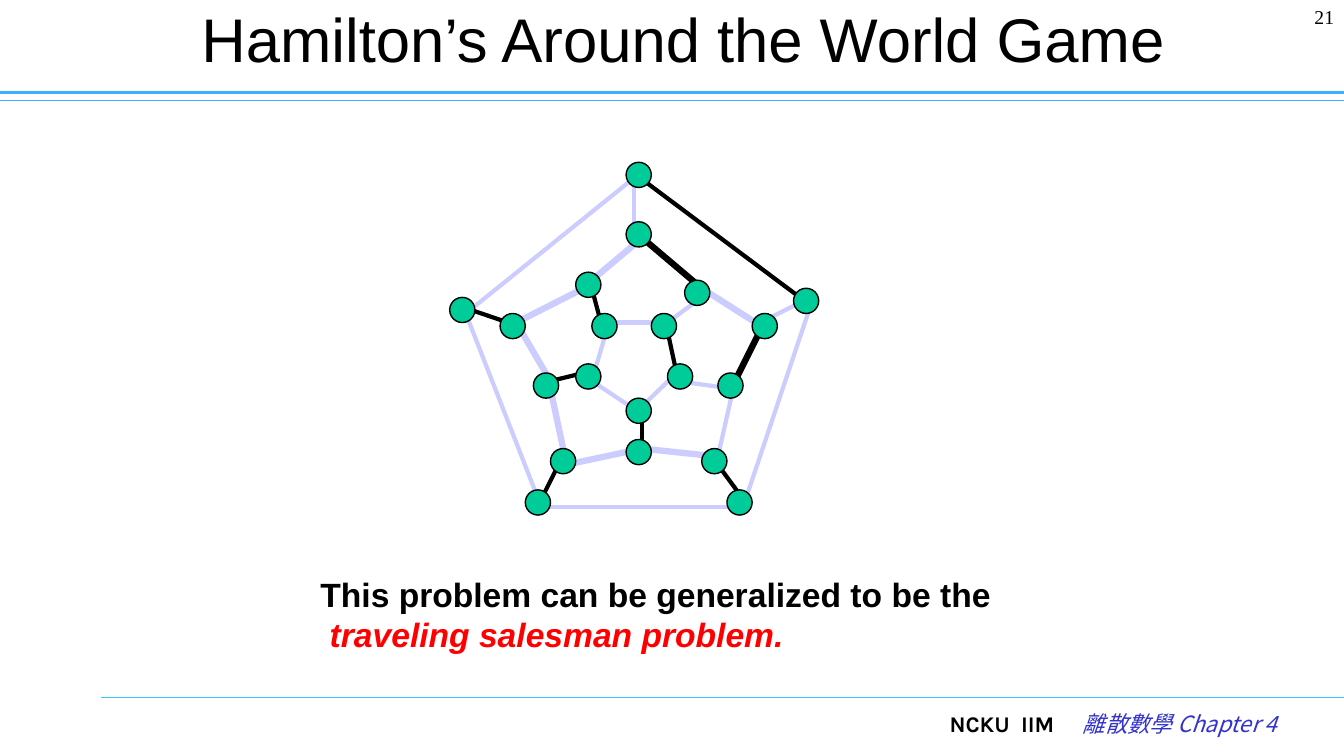
import pptx
import pptx.dml.color
import pptx.enum.shapes
import pptx.enum.text
import pptx.oxml.ns
import pptx.util
from lxml import etree

Inches = pptx.util.Inches
ALIGN = pptx.enum.text.PP_ALIGN
ANCHOR = pptx.enum.text.MSO_ANCHOR

THEME = {
    "colors": {"ink": "000000", "accent": "FF0000", "chapter": "3333CC",
               "rule": "3DB0FF", "footer_rule": "33CCFF",
               "unused": "CCCCFF", "node": "00CC99"},
    "sizes": {"title": 44, "body": 24, "footer": 16, "number": 14},
    "fonts": {"main": "Arial", "footer": "Karla", "chapter": "Noto Sans CJK SC",
              "number": "Times New Roman"},
}


def color(name):
    return pptx.dml.color.RGBColor.from_string(THEME["colors"][name])


def add_line(x1, y1, x2, y2, color_name, width):
    line = slide.shapes.add_connector(
        pptx.enum.shapes.MSO_CONNECTOR.STRAIGHT,
        Inches(x1), Inches(y1), Inches(x2), Inches(y2))
    line.line.color.rgb = color(color_name)
    line.line.width = pptx.util.Pt(width)
    etree.SubElement(line._element.spPr, pptx.oxml.ns.qn("a:effectLst"))


presentation = pptx.Presentation()
presentation.slide_width = Inches(13.33)
presentation.slide_height = Inches(7.5)
slide = presentation.slides.add_slide(presentation.slide_layouts[6])

# Header and footer rules
add_line(0, 1, 13.33, 1, "rule", 0.75)
add_line(0, 0.92, 13.33, 0.92, "rule", 2.5)
add_line(1, 6.92, 13.33, 6.92, "footer_rule", 0.75)

# Dodecahedron edges, grouped by colour and width
edges = {
    ("unused", 4.5): [
        (6.37, 2.36, 5.87, 2.78), (5.79, 2.86, 5.12, 3.2),
        (5.12, 3.2, 5.46, 3.78), (5.46, 3.86, 5.62, 4.61),
        (5.62, 4.61, 6.37, 4.45), (6.37, 4.45, 7.12, 4.53),
        (7.62, 3.28, 6.96, 2.86)],
    ("unused", 3): [
        (7.12, 4.53, 7.29, 3.78), (6.04, 3.2, 6.54, 3.2),
        (6.71, 3.7, 6.37, 4.03), (6.37, 4.11, 5.87, 3.78),
        (5.87, 3.78, 6.04, 3.2), (4.62, 3.11, 6.37, 1.7),
        (8.04, 3.03, 7.37, 5.03), (7.37, 5.03, 5.37, 5.03),
        (5.37, 5.03, 4.62, 3.11), (6.29, 1.7, 6.29, 2.28),
        (8.04, 2.95, 7.54, 3.2), (6.62, 3.2, 6.96, 2.95),
        (6.71, 3.78, 7.29, 3.86)],
    ("ink", 4.5): [
        (7.29, 3.78, 7.54, 3.28), (6.96, 2.86, 6.37, 2.36)],
    ("ink", 3): [
        (6.62, 3.28, 6.71, 3.7), (6.37, 1.78, 8.04, 3.03),
        (4.54, 3.03, 5.04, 3.2), (5.37, 4.95, 5.54, 4.61),
        (7.37, 4.95, 7.12, 4.61), (5.46, 3.78, 5.79, 3.7),
        (5.87, 2.86, 5.96, 3.2), (6.37, 4.11, 6.37, 4.45)],
}
for (color_name, width), segments in edges.items():
    for segment in segments:
        add_line(*segment, color_name, width)

# Cities: left and top of each node
NODE_SIZE = 0.25
nodes = [
    (4.46, 2.95), (6.21, 1.61), (6.21, 2.2), (5.71, 2.7), (4.96, 3.11),
    (5.87, 3.11), (5.71, 3.61), (6.46, 3.11), (6.62, 3.61), (6.21, 3.95),
    (5.29, 3.7), (5.46, 4.45), (6.21, 4.36), (6.96, 4.45), (7.12, 3.7),
    (7.46, 3.11), (7.87, 2.86), (7.21, 4.86), (5.21, 4.86), (6.79, 2.78)]
for left, top in nodes:
    node = slide.shapes.add_shape(
        pptx.enum.shapes.MSO_SHAPE.OVAL,
        Inches(left), Inches(top), Inches(NODE_SIZE), Inches(NODE_SIZE))
    node.shadow.inherit = False
    node.fill.solid()
    node.fill.fore_color.rgb = color("node")
    node.line.color.rgb = color("ink")
    node.line.width = pptx.util.Pt(1)

# Text boxes: box, alignment, anchor, tab stops, size, runs
texts = [
    ((1.75, 0, 10.06, 0.75), ALIGN.CENTER, ANCHOR.MIDDLE, [], "title",
     [("Hamilton’s Around the World Game", "main", "ink", {})]),
    ((12.22, 0, 1.11, 0.5), ALIGN.RIGHT, ANCHOR.TOP, [], "number",
     [("21", "number", "ink", {})]),
    ((3.08, 5.64, 7.17, 0.91), ALIGN.LEFT, ANCHOR.TOP, [], "body",
     [("This problem can be generalized to be the\v ", "main", "ink", {"bold": True}),
      ("traveling salesman problem.", "main", "accent", {"bold": True, "italic": True})]),
    ((9.32, 7, 3.9, 0.5), ALIGN.LEFT, ANCHOR.TOP, [0.71, 1.32], "footer",
     [("NCKU\tIIM\t", "footer", "ink", {"bold": True}),
      ("離散數學 Chapter 4", "chapter", "chapter", {"italic": True})]),
]
for box, alignment, anchor, tabs, size, runs in texts:
    frame = slide.shapes.add_textbox(*map(Inches, box)).text_frame
    frame.word_wrap = True
    frame.vertical_anchor = anchor
    paragraph = frame.paragraphs[0]
    paragraph.alignment = alignment
    if tabs:
        tab_list = etree.SubElement(paragraph._p.get_or_add_pPr(),
                                    pptx.oxml.ns.qn("a:tabLst"))
        for position in tabs:
            etree.SubElement(tab_list, pptx.oxml.ns.qn("a:tab"),
                             pos=str(Inches(position)), algn="l")
    for text, font_name, color_name, styles in runs:
        # A vertical tab marks a line break inside the paragraph
        for index, piece in enumerate(text.split("\v")):
            if index:
                paragraph.add_line_break()
            run = paragraph.add_run()
            run.text = piece
            run.font.color.rgb = color(color_name)
            formats = {"name": THEME["fonts"][font_name],
                       "size": pptx.util.Pt(THEME["sizes"][size]), **styles}
            for attribute, value in formats.items():
                setattr(run.font, attribute, value)
            if font_name == "chapter":
                etree.SubElement(run.font._element, pptx.oxml.ns.qn("a:ea"),
                                 typeface=THEME["fonts"][font_name])

presentation.save("out.pptx")
